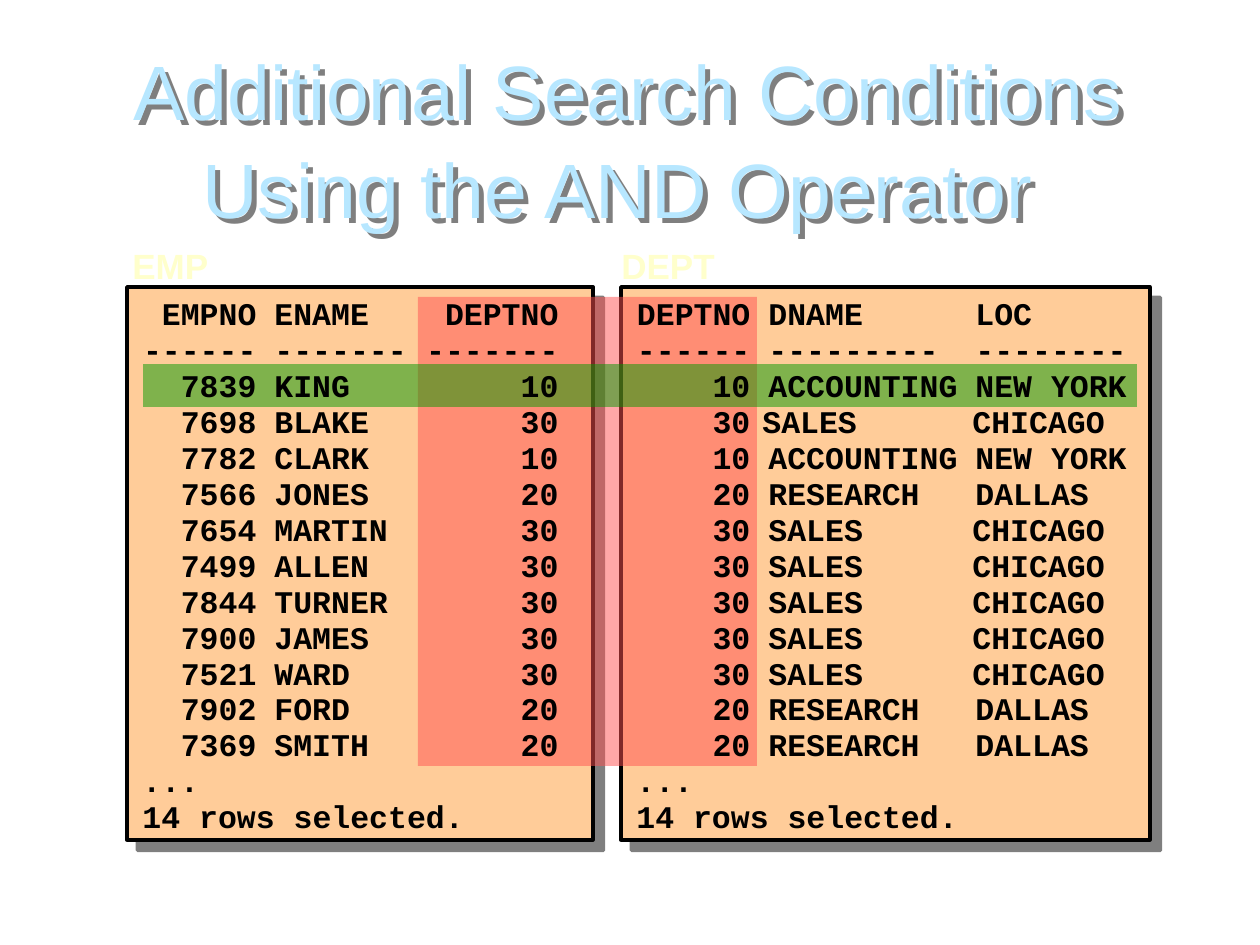
from lxml.etree import SubElement
from pptx import Presentation
from pptx.dml.color import RGBColor
from pptx.enum.shapes import MSO_SHAPE as Shape
from pptx.enum.text import MSO_ANCHOR as Anchor, MSO_AUTO_SIZE as AutoSize, PP_ALIGN as Align
from pptx.oxml.ns import qn
from pptx.util import Emu, Pt

PX = 914400 // 126
COLORS = {
    "panel": "FFCC99", "ink": "000000", "title": "B7E7FF",
    "label": "FFFFCC", "column": "FF5050", "row": "009900",
}

EMP_ROWS = [
    ("EMPNO", "ENAME", "DEPTNO"), ("------", "-------", "-------"),
    ("7839", "KING", "10"), ("7698", "BLAKE", "30"), ("7782", "CLARK", "10"),
    ("7566", "JONES", "20"), ("7654", "MARTIN", "30"), ("7499", "ALLEN", "30"),
    ("7844", "TURNER", "30"), ("7900", "JAMES", "30"), ("7521", "WARD", "30"),
    ("7902", "FORD", "20"), ("7369", "SMITH", "20"),
]
ACCOUNTING = ("10", "ACCOUNTING", "NEW YORK")
SALES = ("30", "SALES", "CHICAGO")
RESEARCH = ("20", "RESEARCH", "DALLAS")
DEPT_ROWS = [
    ("DEPTNO", "DNAME", "LOC"), ("------", "---------", "--------"),
    ACCOUNTING, SALES, ACCOUNTING, RESEARCH, *[SALES] * 5, RESEARCH, RESEARCH,
]
FOOTER = ["...", "14 rows selected."]

# Tab stops: distance in px and alignment
EMP_STOPS = [(114, "r"), (132, "l"), (416, "r")]
DEPT_STOPS = [(114, "r"), (132, "l"), (339, "l")]
SALES_STOPS = [(114, "r"), (132, "l"), (336, "l")]
FIRST_SALES_STOPS = [(114, "r"), (126, "l"), (336, "l")]


def emu(*lengths):
    return [Emu(length * PX) for length in lengths]


def rgb(name):
    return RGBColor.from_string(COLORS[name])


def add_shadow(shape, distance):
    """Cast a half-transparent shadow down and to the right."""
    effects = SubElement(shape._element.spPr, qn("a:effectLst"))
    shadow = SubElement(effects, qn("a:outerShdw"), dist=str(Pt(distance)),
                        dir="2700000", algn="ctr", rotWithShape="0")
    color = SubElement(shadow, qn("a:srgbClr"), val=COLORS["ink"])
    SubElement(color, qn("a:alpha"), val="50000")


def write(para, text, *, size, font, color, bold=False, align=Align.LEFT,
          spacing=None, stops=()):
    para.text = text
    para.alignment = align
    if spacing:
        para.line_spacing = spacing
    for span in para.runs:
        span.font.size = Pt(size)
        span.font.name = font
        span.font.bold = bold
        span.font.color.rgb = rgb(color)
    if stops:
        tabs = SubElement(para._p.get_or_add_pPr(), qn("a:tabLst"))
        for position, side in stops:
            SubElement(tabs, qn("a:tab"), pos=str(position * PX), algn=side)


def draw_title(page, box):
    title = page.shapes.title
    title.left, title.top, title.width, title.height = emu(*box)
    frame = title.text_frame
    frame.vertical_anchor = Anchor.TOP
    frame.auto_size = AutoSize.NONE
    write(frame.paragraphs[0],
          "Additional Search Conditions\vUsing the AND Operator ",
          size=44, font="Arial", color="title", align=Align.CENTER, spacing=1.06)
    add_shadow(title, 4)


def draw_panel(page, box):
    panel = page.shapes.add_shape(Shape.RECTANGLE, *emu(*box))
    panel.fill.solid()
    panel.fill.fore_color.rgb = rgb("panel")
    panel.line.color.rgb = rgb("ink")
    panel.line.width = Pt(2)
    add_shadow(panel, 8.5)


def draw_label(page, box, name):
    label = page.shapes.add_textbox(*emu(*box))
    label.text_frame.word_wrap = False
    label.text_frame.auto_size = AutoSize.SHAPE_TO_FIT_TEXT
    write(label.text_frame.paragraphs[0], name,
          size=20, font="Arial", color="label", bold=True)


def draw_highlight(page, box, color):
    band = page.shapes.add_shape(Shape.RECTANGLE, *emu(*box))
    band.shadow.inherit = False
    band.line.fill.background()
    band.fill.solid()
    band.fill.fore_color.rgb = rgb(color)
    fill = band._element.spPr.find(qn("a:solidFill"))
    SubElement(fill[0], qn("a:alpha"), val="50000")


def draw_listing(page, box, lines):
    """Write the query output inside a panel box; lines pair text with stops."""
    left, top, width, height = box
    listing = page.shapes.add_textbox(*emu(left + 3, top + 4, width - 4, height - 1))
    frame = listing.text_frame
    frame.word_wrap = True
    frame.auto_size = AutoSize.SHAPE_TO_FIT_TEXT
    for index, (text, stops) in enumerate(lines):
        para = frame.add_paragraph() if index else frame.paragraphs[0]
        write(para, text, size=18, font="Courier New", color="ink",
              bold=True, spacing=0.95, stops=stops)


def listing_lines(rows, stops_for):
    lines = [("\t" + "\t".join(row), stops_for(index, row))
             for index, row in enumerate(rows)]
    return lines + [(text, ()) for text in FOOTER]


def dept_stops(index, row):
    if row != SALES:
        return DEPT_STOPS
    return FIRST_SALES_STOPS if index == DEPT_ROWS.index(SALES) else SALES_STOPS


def main():
    deck = Presentation()
    deck.slide_width, deck.slide_height = emu(1260, 945)
    page = deck.slides.add_slide(deck.slide_layouts[5])
    emp_box = (127, 287, 466, 553)
    dept_box = (621, 287, 529, 553)

    # Title and table panels
    draw_title(page, (42, 32, 1173, 183))
    for box in (emp_box, dept_box):
        draw_panel(page, box)
    draw_label(page, (120, 238, 111, 54), "EMP")
    draw_label(page, (609, 238, 129, 54), "DEPT")

    # Join column and matching row
    draw_highlight(page, (418, 297, 339, 469), "column")
    draw_highlight(page, (143, 364, 994, 43), "row")

    # Query output
    draw_listing(page, emp_box, listing_lines(EMP_ROWS, lambda index, row: EMP_STOPS))
    draw_listing(page, dept_box, listing_lines(DEPT_ROWS, dept_stops))
    deck.save("out.pptx")


if __name__ == "__main__":
    main()
